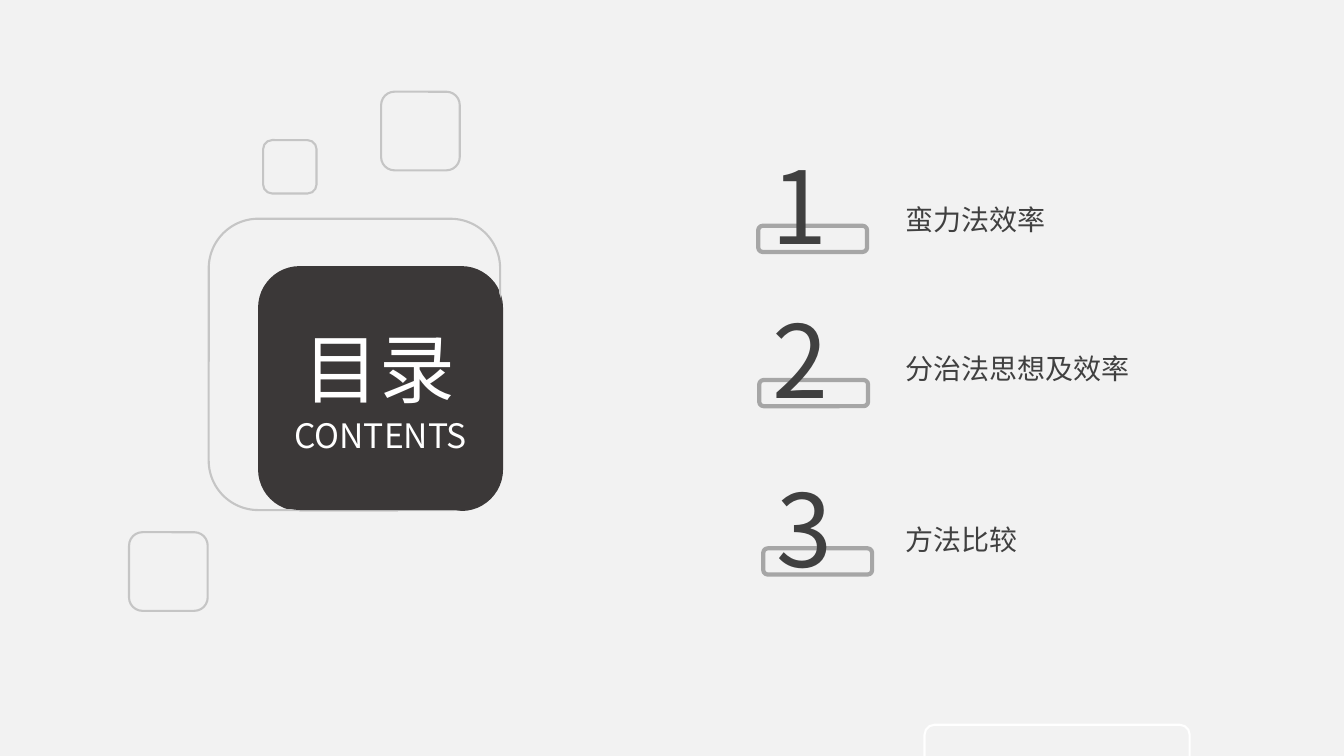
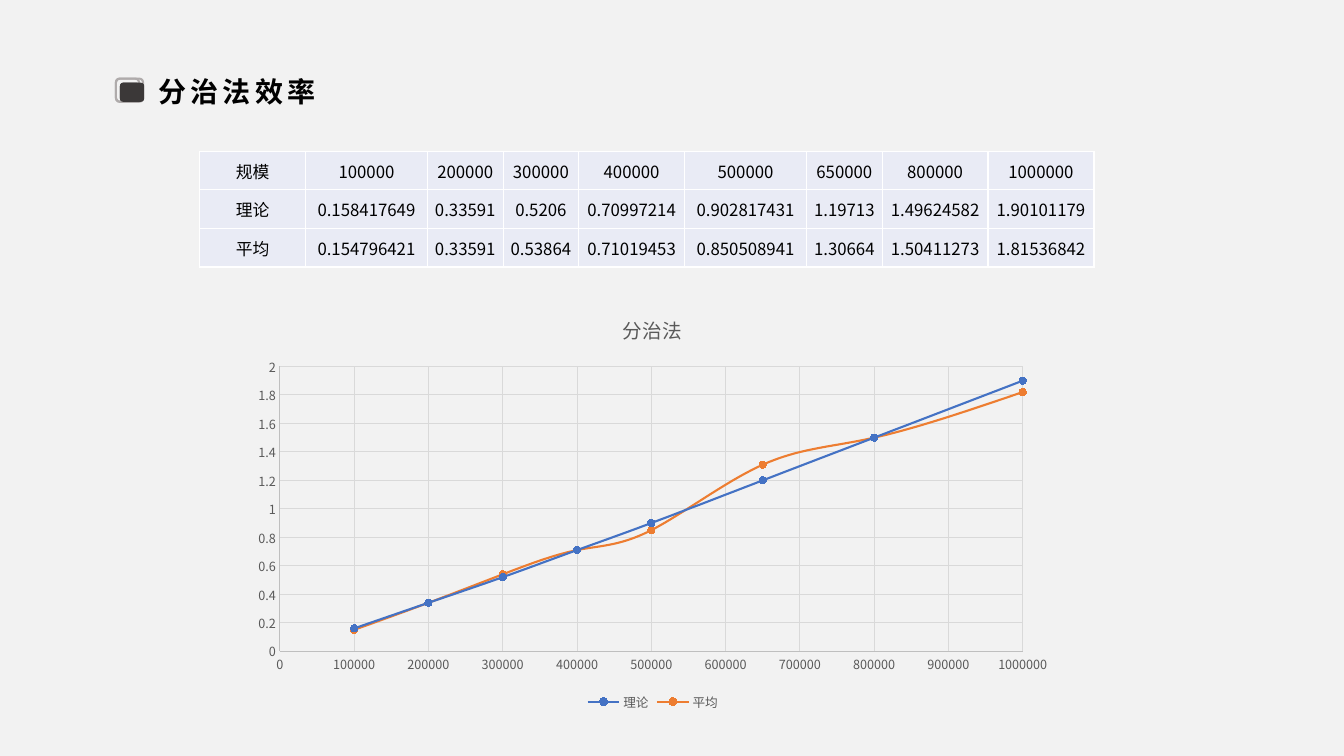
from lxml import etree
from pptx import Presentation
from pptx.chart.data import XyChartData
from pptx.dml.color import RGBColor
from pptx.enum.chart import XL_CHART_TYPE, XL_LEGEND_POSITION, XL_MARKER_STYLE, XL_TICK_MARK
from pptx.enum.shapes import MSO_SHAPE
from pptx.enum.text import MSO_ANCHOR, MSO_AUTO_SIZE, PP_ALIGN
from pptx.oxml.ns import qn
from pptx.util import Inches, Pt

ROUNDED = MSO_SHAPE.ROUNDED_RECTANGLE
SMOOTH_SCATTER = XL_CHART_TYPE.XY_SCATTER_SMOOTH
LEGEND_BOTTOM = XL_LEGEND_POSITION.BOTTOM
CIRCLE = XL_MARKER_STYLE.CIRCLE
NO_TICK = XL_TICK_MARK.NONE
TOP, MIDDLE = MSO_ANCHOR.TOP, MSO_ANCHOR.MIDDLE
LEFT, CENTER = PP_ALIGN.LEFT, PP_ALIGN.CENTER
NO_AUTOSIZE = MSO_AUTO_SIZE.NONE

FONT = "Noto Sans CJK SC"
COLORS = {
    "background": "F2F2F2", "dark": "3B3838", "white": "FFFFFF", "black": "000000",
    "text": "404040", "outline": "C5C5C5", "bar": "A6A6A6", "icon": "AFABAB",
    "cell": "E9EBF5", "chart_text": "595959", "axis": "BFBFBF", "grid": "D9D9D9",
    "theory": "4472C4", "average": "ED7D31",
}
TITLE_STYLES = {
    "contents": {"size": Pt(54), "bold": False, "color": "white"},
    "heading": {"size": Pt(20), "bold": True, "color": "black"},
}
MARGINS = {
    "plain": (0.1, 0.05, 0.1, 0.05),
    "entry": (0.13, 0.07, 0.13, 0.07),
    "cell": (0.01, 0.01, 0.01, 0),
}
ENTRIES = [
    ("1", "蛮力法效率", 7.52, 1.7, 0.15),
    ("2", "分治法思想及效率", 7.53, 3.23, 0.1),
    ("3", "方法比较", 7.57, 4.9, 0.13),
]
COLUMN_WIDTHS = [1.05, 1.21, 0.75, 0.75, 1.05, 1.21, 0.75, 1.05, 1.05]
TIMINGS = [
    ["规模", "100000", "200000", "300000", "400000", "500000", "650000", "800000", "1000000"],
    ["理论", "0.158417649", "0.33591", "0.5206", "0.70997214", "0.902817431", "1.19713",
     "1.49624582", "1.90101179"],
    ["平均", "0.154796421", "0.33591", "0.53864", "0.71019453", "0.850508941", "1.30664",
     "1.50411273", "1.81536842"],
]


def rgb(name):
    """Return the named colour."""
    return RGBColor.from_string(COLORS[name])


def inches(*lengths):
    """Convert lengths to slide units."""
    return [Inches(length) for length in lengths]


def set_attributes(target, values):
    """Set every attribute given in a dict."""
    for name, value in values.items():
        setattr(target, name, value)


def format_font(font, color, **values):
    """Apply the shared typeface, a colour and further font values."""
    set_attributes(font, {"name": FONT, **values})
    font.color.rgb = rgb(color)
    etree.SubElement(font._rPr, qn("a:ea"), typeface=FONT)


def format_line(line, color, width):
    """Give a line a colour and a width in points."""
    line.color.rgb = rgb(color)
    line.width = Pt(width)


def rounded_box(page, box, fill=None, line=None, width=1.5, radius=0.17):
    """Add a rounded rectangle, filled or outlined."""
    shape = page.shapes.add_shape(ROUNDED, *inches(*box))
    shape.shadow.inherit = False
    shape.adjustments[0] = radius
    if fill:
        shape.fill.solid()
        shape.fill.fore_color.rgb = rgb(fill)
    else:
        shape.fill.background()
    if line:
        format_line(shape.line, line, width)
    else:
        shape.line.fill.background()


def fill_text(shape, text, margins, anchor, **font_values):
    """Write one left-aligned paragraph into a shape and return its run."""
    frame = shape.text_frame
    sides = ("margin_left", "margin_top", "margin_right", "margin_bottom")
    set_attributes(frame, dict(zip(sides, inches(*MARGINS[margins]))))
    set_attributes(frame, {"word_wrap": True, "auto_size": NO_AUTOSIZE, "vertical_anchor": anchor})
    para = frame.paragraphs[0]
    para.alignment = LEFT
    span = para.add_run()
    span.text = text
    format_font(span.font, **font_values)
    return span


def text_box(page, box, text, margins="plain", anchor=TOP, **font_values):
    """Add a text box."""
    fill_text(page.shapes.add_textbox(*inches(*box)), text, margins, anchor, **font_values)


def place_title(page, box, text, style):
    """Move the title to its box, in front of what is drawn so far."""
    title = page.shapes.title
    set_attributes(title, dict(zip(("left", "top", "width", "height"), inches(*box))))
    span = fill_text(title, text, "plain", TOP, **TITLE_STYLES[style])
    title._element.getparent().append(title._element)
    return span


def contents_emblem(page, left, top):
    """Draw the dark contents tile with its outlined squares."""
    rounded_box(page, (left + 0.49, top + 0.47, 2.43, 2.43), fill="dark")
    rounded_box(page, (left, top, 2.89, 2.89), line="outline")
    rounded_box(page, (left + 0.5, top + 0.48, 2.41, 2.41), fill="dark")
    for across, down, side in [(0.54, -0.78, 0.53), (-0.79, 3.11, 0.78), (1.71, -1.26, 0.78)]:
        rounded_box(page, (left + across, top + down, side, side), line="outline")
    text_box(page, (left + 0.75, top + 1.9, 2.01, 0.5), "CONTENTS", color="white", size=Pt(24))
    place_title(page, (left + 0.84, top + 0.97, 1.83, 1.01), "目录", "contents")


def contents_entry(page, number, label, left, top, label_drop):
    """Draw one numbered entry with its bar and label."""
    rounded_box(page, (left, top + 0.54, 1.08, 0.26), line="bar", width=3)
    style = {"margins": "entry", "anchor": MIDDLE, "color": "text"}
    text_box(page, (left, top, 1.48, 0.65), number, size=Pt(72), **style)
    text_box(page, (8.85, top + label_drop, 2.78, 0.65), label, size=Pt(20), **style)


def contents_slide(page):
    """Build the contents slide."""
    contents_emblem(page, 2.07, 2.17)
    for entry in ENTRIES:
        contents_entry(page, *entry)
    rounded_box(page, (9.17, 7.19, 2.63, 0.58), line="white")


def heading(page, left, top, text):
    """Draw the heading with its small icon."""
    for width in (0.23, 0.27):
        rounded_box(page, (left, top, width, 0.23), line="icon")
        rounded_box(page, (left + 0.04, top + 0.04, width - 0.03, 0.19), fill="dark")
    span = place_title(page, (left + 0.32, top - 0.09, 2.63, 0.44), text, "heading")
    span.font._rPr.set("spc", "300")


def format_cell(cell, text):
    """Fill one table cell with centred text and white borders."""
    span = fill_cell_text(cell, text)
    format_font(span.font, "black", size=Pt(12), bold=False)
    properties = cell._tc.get_or_add_tcPr()
    for side in ("a:lnL", "a:lnR", "a:lnT", "a:lnB"):
        border = etree.SubElement(properties, qn(side), w=str(Pt(1)))
        fill = etree.SubElement(border, qn("a:solidFill"))
        etree.SubElement(fill, qn("a:srgbClr"), val=COLORS["white"])
    cell.fill.solid()
    cell.fill.fore_color.rgb = rgb("cell")


def fill_cell_text(cell, text):
    """Set a cell's margins and text and return the run."""
    sides = ("margin_left", "margin_top", "margin_right", "margin_bottom")
    set_attributes(cell, dict(zip(sides, inches(*MARGINS["cell"]))))
    cell.vertical_anchor = MIDDLE
    para = cell.text_frame.paragraphs[0]
    para.alignment = CENTER
    span = para.add_run()
    span.text = text
    return span


def timing_table(page, box):
    """Add the table of timings."""
    table = page.shapes.add_table(len(TIMINGS), len(COLUMN_WIDTHS), *inches(*box)).table
    set_attributes(table, {"first_row": False, "horz_banding": False})
    for column, width in zip(table.columns, COLUMN_WIDTHS):
        column.width = Inches(width)
    for row, texts in zip(table.rows, TIMINGS):
        row.height = Inches(box[3] / len(TIMINGS))
        for cell, text in zip(row.cells, texts):
            format_cell(cell, text)


def format_axis(axis, maximum, step):
    """Style one chart axis."""
    set_attributes(axis, {
        "minimum_scale": 0, "maximum_scale": maximum, "major_unit": step,
        "major_tick_mark": NO_TICK, "minor_tick_mark": NO_TICK, "has_major_gridlines": True,
    })
    format_line(axis.format.line, "axis", 0.75)
    format_line(axis.major_gridlines.format.line, "grid", 0.75)
    format_font(axis.tick_labels.font, "chart_text", size=Pt(9))


def format_series(series, color):
    """Style one curve and its markers."""
    format_line(series.format.line, color, 1.5)
    set_attributes(series.marker, {"style": CIRCLE, "size": 5})
    series.marker.format.fill.solid()
    series.marker.format.fill.fore_color.rgb = rgb(color)
    format_line(series.marker.format.line, color, 0.75)
    for smooth in series._element.iter(qn("c:smooth")):
        smooth.set("val", "1")


def timing_chart(page, box):
    """Add the smoothed scatter chart of the timings."""
    sizes, *rows = TIMINGS
    data = XyChartData()
    for name, *times in rows:
        curve = data.add_series(name)
        for size, time in zip(sizes[1:], times):
            curve.add_data_point(int(size), round(float(time), 2))
    chart = page.shapes.add_chart(SMOOTH_SCATTER, *inches(*box), data).chart
    format_font(chart.font, "black", size=Pt(10))
    chart.has_title = True
    span = chart.chart_title.text_frame.paragraphs[0].add_run()
    span.text = "分治法"
    format_font(span.font, "chart_text", size=Pt(14), bold=False)
    chart.has_legend = True
    set_attributes(chart.legend, {"position": LEGEND_BOTTOM, "include_in_layout": False})
    format_font(chart.legend.font, "chart_text", size=Pt(9))
    format_axis(chart.category_axis, 1000000, 100000)
    format_axis(chart.value_axis, 2, 0.2)
    chart.plots[0].vary_by_categories = False
    for series, color in zip(chart.plots[0].series, ("theory", "average")):
        format_series(series, color)


def efficiency_slide(page):
    """Build the slide with the timing table and chart."""
    heading(page, 1.15, 0.78, "分治法效率")
    timing_chart(page, (2.4, 2.93, 8.15, 4.16))
    timing_table(page, (1.98, 1.5, 8.86, 1.15))


def main():
    """Build and save the deck."""
    deck = Presentation()
    deck.slide_width, deck.slide_height = inches(13.33, 7.5)
    backdrop = deck.slide_master.background.fill
    backdrop.solid()
    backdrop.fore_color.rgb = rgb("background")
    title_only = deck.slide_layouts[5]
    for build in (contents_slide, efficiency_slide):
        build(deck.slides.add_slide(title_only))
    deck.save("out.pptx")


if __name__ == "__main__":
    main()
